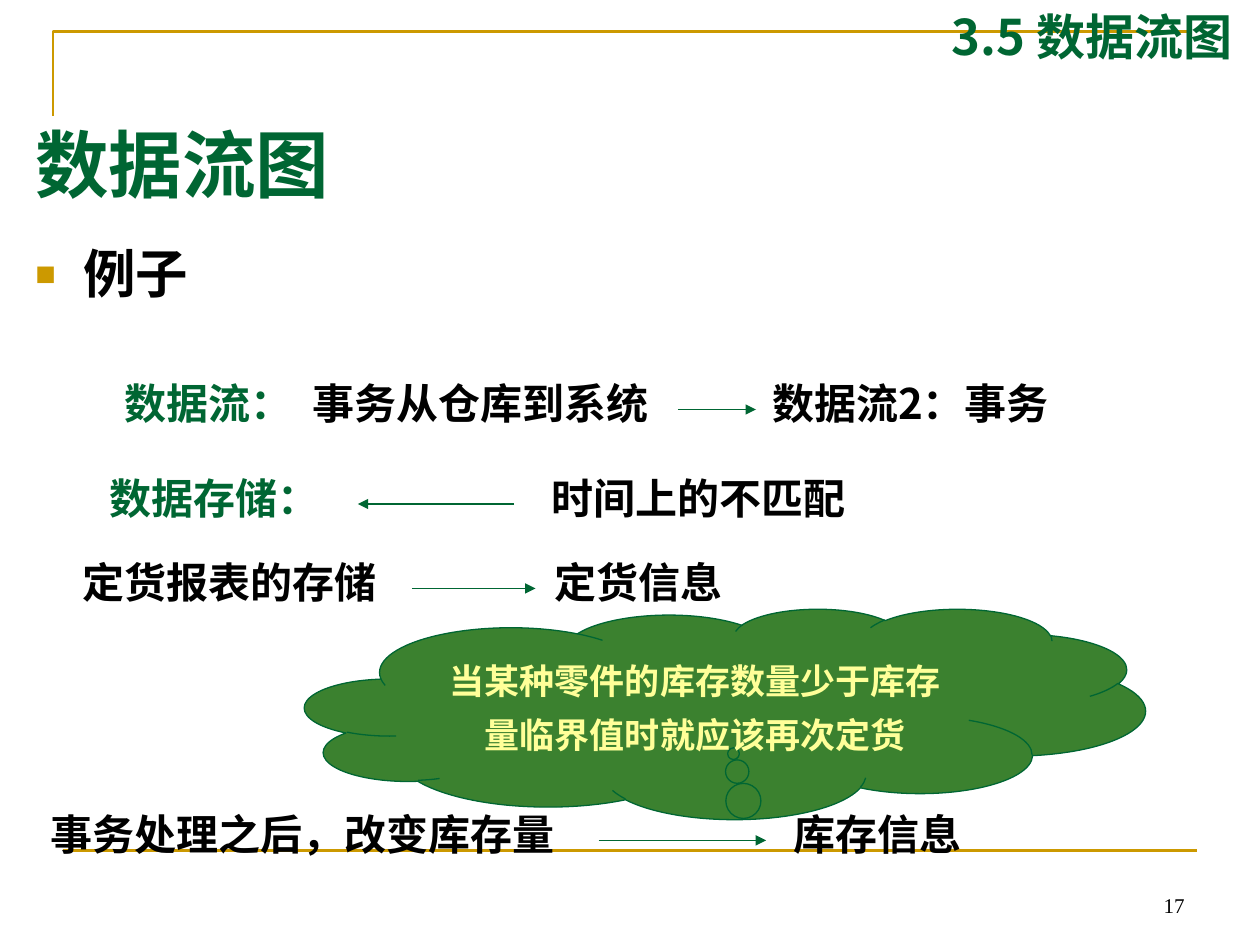
"""Build the data flow diagram example slide."""
from lxml import etree
from pptx import Presentation
from pptx.dml.color import RGBColor
from pptx.enum.shapes import MSO_CONNECTOR, MSO_SHAPE
from pptx.enum.text import MSO_ANCHOR, MSO_AUTO_SIZE, PP_ALIGN
from pptx.oxml.ns import qn
from pptx.util import Inches, Pt

STRAIGHT = MSO_CONNECTOR.STRAIGHT
CLOUD = MSO_SHAPE.CLOUD_CALLOUT
TOP, MIDDLE, BOTTOM = MSO_ANCHOR.TOP, MSO_ANCHOR.MIDDLE, MSO_ANCHOR.BOTTOM
LEFT, CENTER, RIGHT = PP_ALIGN.LEFT, PP_ALIGN.CENTER, PP_ALIGN.RIGHT
GROW, FIXED = MSO_AUTO_SIZE.SHAPE_TO_FIT_TEXT, MSO_AUTO_SIZE.NONE

COLORS = {"green": "006633", "gold": "CC9900", "cloud": "3B812F",
          "cream": "FFFF99", "black": "000000"}
SANS, SERIF = "Noto Sans CJK SC", "Times New Roman"

TITLE = "数据流图"
TOPIC = "例子"
SECTION = "3.5 数据流图"
PAGE = "17"
REMARK = "当某种零件的库存数量少于库存量临界值时就应该再次定货"

ROW_HEIGHT = 0.62
ROWS = [
    {"top": 2.83, "arrow": (5.38, 6, 3.25),
     "phrases": [("数据流：", 0.89, 1.69, "green"),
                 ("事务从仓库到系统", 2.38, 3.2, "black"),
                 ("数据流2：事务", 6.03, 3.56, "black")]},
    {"top": 3.58, "arrow": (4.08, 2.84, 4),
     "phrases": [("数据存储：", 0.77, 2.31, "green"),
                 ("时间上的不匹配", 4.28, 3.56, "black")]},
    {"top": 4.25, "arrow": (3.27, 4.25, 4.67),
     "phrases": [("定货报表的存储", 0.56, 3.11, "black"),
                 ("定货信息", 4.3, 1.87, "black")]},
    {"top": 6.25, "arrow": (4.75, 6.08, 6.67),
     "phrases": [("事务处理之后，改变库存量", 0.3, 4.53, "black"),
                 ("库存信息", 6.2, 2.05, "black")]},
]


def rgb(color):
    return RGBColor.from_string(COLORS[color])


def place(shape, left, top, width, height):
    shape.left, shape.top = Inches(left), Inches(top)
    shape.width, shape.height = Inches(width), Inches(height)
    return shape


def write(shape, text, size=24, color="black", font=SANS, bold=True, align=LEFT,
          anchor=TOP, spacing=1.0, fit=FIXED, bullet=None):
    frame = shape.text_frame
    frame.word_wrap, frame.auto_size, frame.vertical_anchor = True, fit, anchor
    frame.margin_left = frame.margin_right = Inches(0.1)
    frame.margin_top = frame.margin_bottom = Inches(0.05)
    paragraph = frame.paragraphs[0]
    paragraph.alignment, paragraph.line_spacing = align, spacing
    paragraph.space_before = Pt(0)
    if bullet:
        props = paragraph._p.get_or_add_pPr()
        props.set("marL", str(Inches(0.38)))
        props.set("indent", str(-Inches(0.38)))
        tint = etree.SubElement(props, qn("a:buClr"))
        etree.SubElement(tint, qn("a:srgbClr"), val=COLORS["gold"])
        etree.SubElement(props, qn("a:buSzPct"), val="65000")
        etree.SubElement(props, qn("a:buChar"), char=bullet)
    run = paragraph.add_run()
    run.text = text
    run.font.name, run.font.size, run.font.bold = font, Pt(size), bold
    run.font.color.rgb = rgb(color)
    etree.SubElement(run._r.get_or_add_rPr(), qn("a:ea"), typeface=font)


def add_text(slide, box, text, **style):
    label = slide.shapes.add_textbox(*map(Inches, box))
    write(label, text, **style)


def add_line(slide, start, end, y, color, width, arrow=False):
    line = slide.shapes.add_connector(
        STRAIGHT, Inches(start), Inches(y), Inches(end), Inches(y))
    line.line.color.rgb, line.line.width = rgb(color), Pt(width)
    etree.SubElement(line._element.spPr, qn("a:effectLst"))
    if arrow:
        etree.SubElement(line.line._get_or_add_ln(), qn("a:tailEnd"), type="triangle")


def add_frame(slide):
    builder = slide.shapes.build_freeform(Inches(0.42), Inches(0.92))
    builder.add_line_segments(
        [(Inches(0.42), Inches(0.25)), (Inches(9.42), Inches(0.25))], close=False)
    corner = builder.convert_to_shape()
    corner.shadow.inherit = False
    corner.fill.background()
    corner.line.color.rgb, corner.line.width = rgb("gold"), Pt(1.5)
    add_line(slide, 0.5, 9.5, 6.75, "gold", 1.5)


def add_remark(slide):
    cloud = place(slide.shapes.add_shape(CLOUD, 0, 0, 0, 0), 2.42, 4.83, 6.67, 1.67)
    cloud.adjustments[0], cloud.adjustments[1] = 0.01, 0.19
    cloud.shadow.inherit = False
    cloud.fill.solid()
    cloud.fill.fore_color.rgb = rgb("cloud")
    cloud.line.color.rgb, cloud.line.width = rgb("green"), Pt(0.75)
    write(cloud, REMARK, size=20, color="cream", align=CENTER, spacing=1.3)


def main():
    deck = Presentation()
    deck.slide_width, deck.slide_height = Inches(10), Inches(7.5)
    slide = deck.slides.add_slide(deck.slide_layouts[1])
    title, topic = slide.placeholders
    write(place(title, 0.18, 0.88, 9.07, 0.83), TITLE, size=42, color="green",
          anchor=MIDDLE)
    write(place(topic, 0.18, 1.92, 9.07, 0.58), TOPIC, size=30, spacing=0.9, bullet="■")
    add_frame(slide)
    add_text(slide, (7.17, 6.83, 2.33, 0.5), PAGE, size=12, font=SERIF, bold=False,
             align=RIGHT, anchor=BOTTOM)
    add_remark(slide)
    add_text(slide, (7.33, 0, 2.67, 0.57), SECTION, size=28, color="green",
             align=CENTER, anchor=MIDDLE, fit=GROW)
    for row in ROWS:
        for phrase, left, width, color in row["phrases"]:
            add_text(slide, (left, row["top"], width, ROW_HEIGHT), phrase,
                     color=color, spacing=1.3, fit=GROW)
        add_line(slide, *row["arrow"], "green", 0.75, arrow=True)
    deck.save("out.pptx")


if __name__ == "__main__":
    main()
